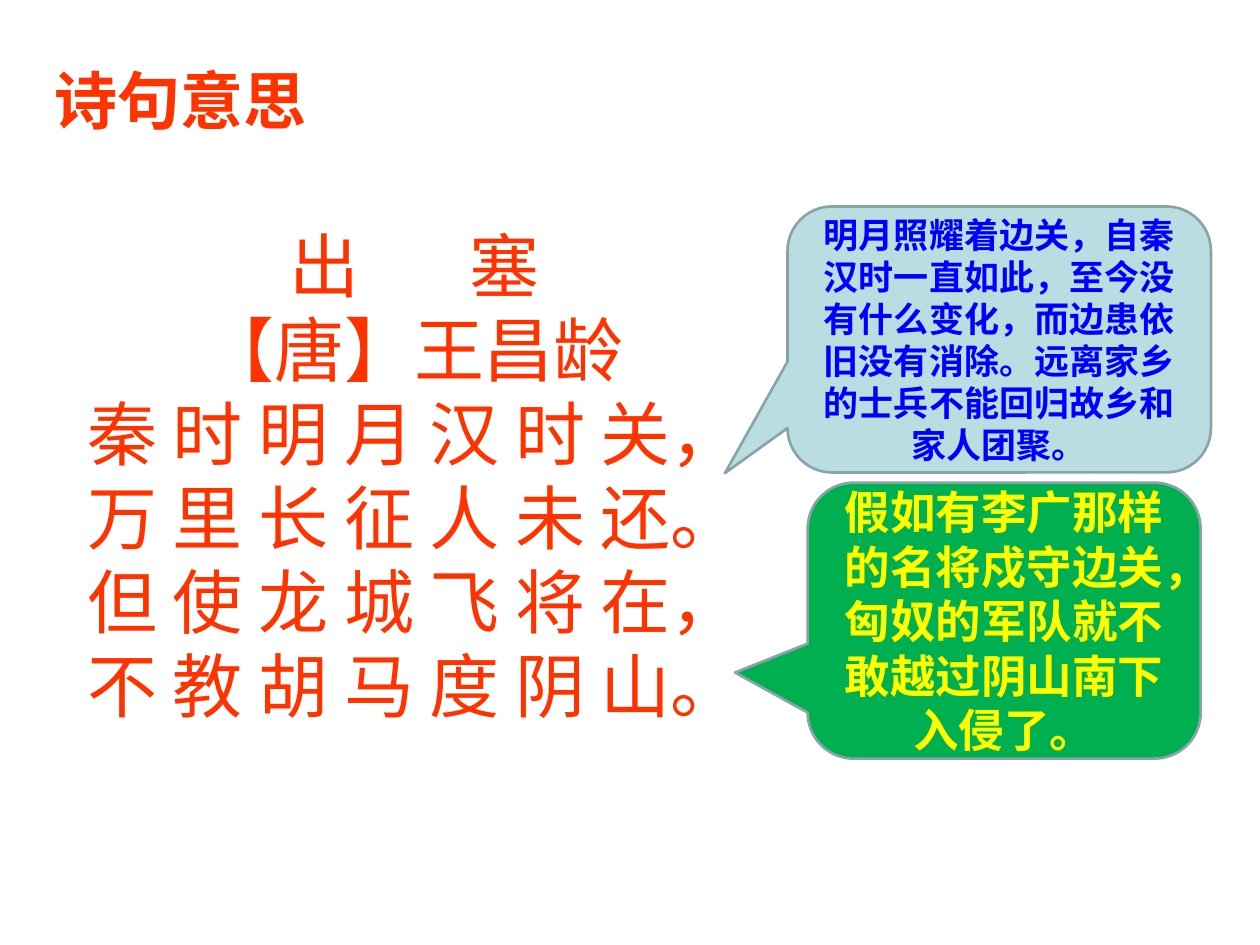
import pptx
import pptx.util
import pptx.dml.color
import pptx.enum.shapes
import pptx.enum.text
import pptx.oxml.ns
import lxml.etree

Pt = pptx.util.Pt
RGBColor = pptx.dml.color.RGBColor
ALIGN = pptx.enum.text.PP_ALIGN
ANCHOR = pptx.enum.text.MSO_ANCHOR
qn = pptx.oxml.ns.qn

RED = RGBColor(0xFF, 0x33, 0x00)
BLUE = RGBColor(0x00, 0x00, 0xFF)
YELLOW = RGBColor(0xFF, 0xFF, 0x00)
PALE_BLUE = RGBColor(0xBA, 0xDD, 0xE1)
GREEN = RGBColor(0x00, 0xB0, 0x50)
OUTLINE = RGBColor(0x89, 0xA4, 0xA7)

CJK_FONT = "Noto Sans CJK SC"
TITLE = "诗句意思"
POEM_NAME = ("出", " ", "塞")
POEM_NAME_GAP = Pt(54)
POEM_LINES = [
    "【唐】王昌龄",
    "秦 时 明 月 汉 时 关，",
    "万 里 长 征 人 未 还。",
    "但 使 龙 城 飞 将 在，",
    "不 教 胡 马 度 阴 山。",
]
CALLOUTS = [
    {
        "text": "明月照耀着边关，自秦汉时一直如此，至今没有什么变化，而边患依旧没有消除。远离家乡的士兵不能回归故乡和家人团聚。",
        "place": (450, 118, 242, 152),
        "tail": (-0.648, 0.503, 0.167),
        "fill": PALE_BLUE, "color": BLUE, "size": 20, "font": "Roboto",
    },
    {
        "text": "假如有李广那样的名将戍守边关，匈奴的军队就不敢越过阴山南下入侵了。",
        "place": (461.5, 275.8, 224.6, 157.7),
        "tail": (-0.685, 0.188, 0.167),
        "fill": GREEN, "color": YELLOW, "size": 26, "font": CJK_FONT,
    },
]


def place(box, left, top, width, height):
    box.left, box.top, box.width, box.height = map(Pt, (left, top, width, height))


def format_paragraph(paragraph, size, color, bold, align, font=CJK_FONT):
    paragraph.alignment = align
    paragraph.space_before = Pt(0)
    properties = paragraph._p.get_or_add_pPr()
    properties.set("marL", "0")
    properties.set("indent", "0")
    lxml.etree.SubElement(properties, qn("a:buNone"))
    paragraph.font.size = Pt(size)
    paragraph.font.bold = bold
    paragraph.font.color.rgb = color
    paragraph.font.name = font
    east_asian = lxml.etree.SubElement(properties.find(qn("a:defRPr")), qn("a:ea"))
    east_asian.set("typeface", CJK_FONT)


def format_frame(frame, anchor):
    frame.word_wrap = True
    frame.auto_size = pptx.enum.text.MSO_AUTO_SIZE.NONE
    frame.vertical_anchor = anchor


def add_callout(page, callout):
    box = page.shapes.add_shape(
        pptx.enum.shapes.MSO_SHAPE.ROUNDED_RECTANGULAR_CALLOUT,
        *map(Pt, callout["place"]))
    for index, value in enumerate(callout["tail"]):
        box.adjustments[index] = value
    box.shadow.inherit = False
    box.fill.solid()
    box.fill.fore_color.rgb = callout["fill"]
    box.line.color.rgb = OUTLINE
    box.line.width = Pt(1.5)
    format_frame(box.text_frame, ANCHOR.MIDDLE)
    box.text_frame.text = callout["text"]
    format_paragraph(box.text_frame.paragraphs[0], callout["size"],
                     callout["color"], True, ALIGN.CENTER, callout["font"])


def main():
    deck = pptx.Presentation()
    deck.slide_width, deck.slide_height = Pt(720), Pt(540)
    page = deck.slides.add_slide(deck.slide_layouts[1])

    title = page.shapes.title
    place(title, 24, 31.7, 213, 50.4)
    format_frame(title.text_frame, ANCHOR.TOP)
    title.text_frame.text = TITLE
    format_paragraph(title.text_frame.paragraphs[0], 36, RED, True, ALIGN.LEFT)

    poem = page.placeholders[1]
    place(poem, -19.4, 123.8, 512, 295.2)
    format_frame(poem.text_frame, ANCHOR.TOP)
    heading = poem.text_frame.paragraphs[0]
    for part in POEM_NAME:
        span = heading.add_run()
        span.text = part
        if part == " ":
            span.font._element.set("spc", str(int(POEM_NAME_GAP.pt * 100)))
    for line in POEM_LINES:
        poem.text_frame.add_paragraph().text = line
    for paragraph in poem.text_frame.paragraphs:
        format_paragraph(paragraph, 40, RED, False, ALIGN.CENTER)

    for callout in CALLOUTS:
        add_callout(page, callout)

    deck.save("out.pptx")


if __name__ == "__main__":
    main()
